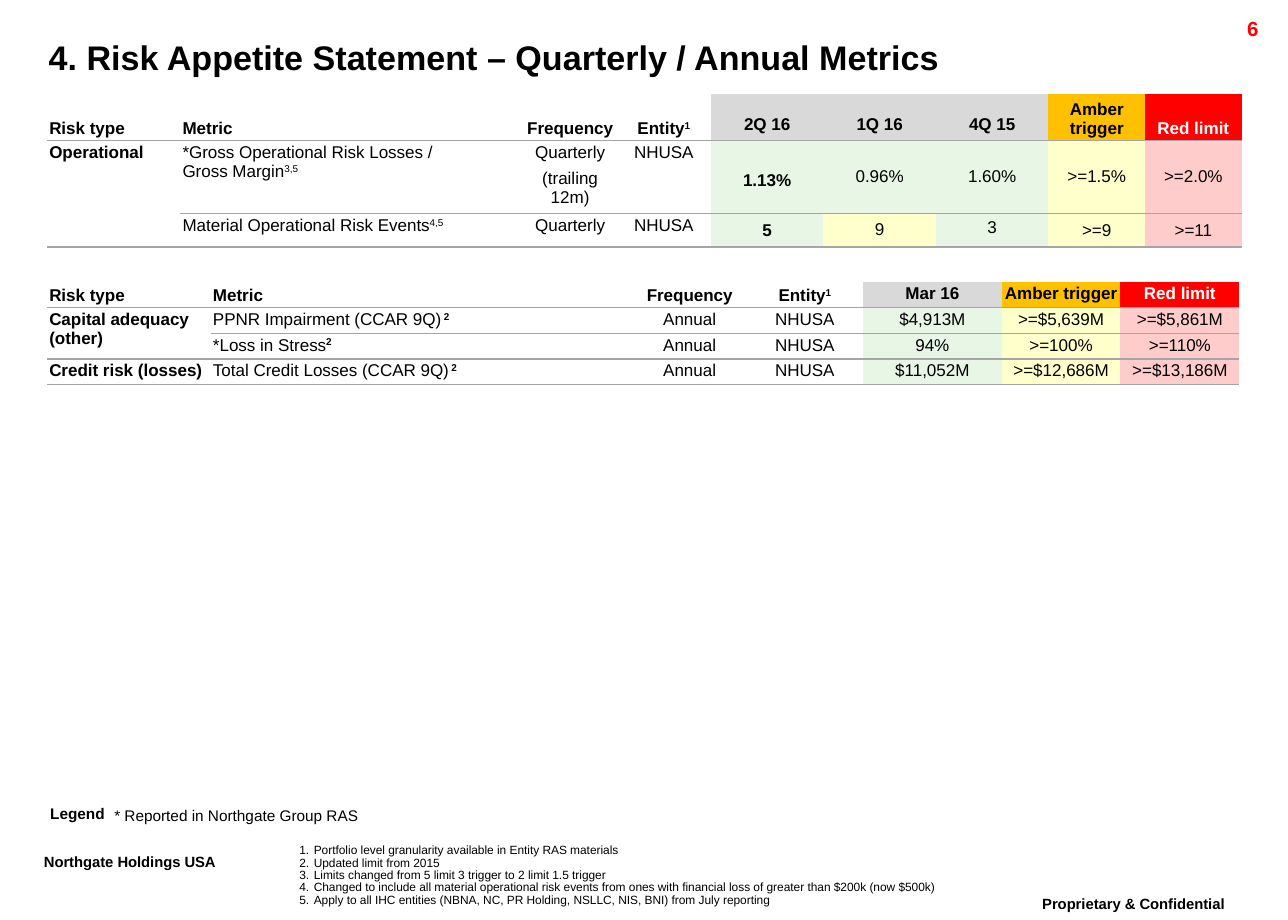
"""Builds the quarterly and annual risk appetite metrics slide."""
import lxml.etree
import pptx
import pptx.dml.color
import pptx.enum.text
import pptx.oxml
import pptx.oxml.ns
import pptx.util

Cm, Pt = pptx.util.Cm, pptx.util.Pt
ALIGN, ANCHOR = pptx.enum.text.PP_ALIGN, pptx.enum.text.MSO_ANCHOR
qn = pptx.oxml.ns.qn

COLORS = {"black": "000000", "white": "FFFFFF", "rule": "A5A5A5", "page": "FF0000",
          "period": "D9D9D9", "amber": "FFC000", "red": "FF0000",
          "green_tint": "E8F6E6", "amber_tint": "FFFFCC", "red_tint": "FFCCCC"}
NO_GRID = "{2D5ABB26-0587-4C30-8999-92F81FD0307C}"


class MetricsSlide:
    """Holds the text style and the current slide."""

    base = {"size": 10, "bold": False, "mark_bold": False, "color": "black",
            "align": ALIGN.LEFT, "spacing": 1.0, "gap": 0, "baseline": 0,
            "numbered": False}

    def __init__(self, deck):
        self.slide = deck.slides.add_slide(deck.slide_layouts[6])

    def rgb(self, name):
        return pptx.dml.color.RGBColor.from_string(COLORS[name])

    def add_piece(self, paragraph, text, style, bold, baseline):
        run = paragraph.add_run()
        run.text = text
        for name, value in {"name": "Arial", "size": Pt(style["size"]), "bold": bold}.items():
            setattr(run.font, name, value)
        run.font.color.rgb = self.rgb(style["color"])
        if baseline:
            run.font._element.set("baseline", str(baseline * 1000))

    def fill_frame(self, frame, text, style):
        style = {**self.base, **style}
        layout = {"alignment": style["align"], "line_spacing": style["spacing"],
                  "space_before": Pt(style["gap"]), "space_after": Pt(style["gap"])}
        for index, line in enumerate(text.split("\n")):
            paragraph = frame.add_paragraph() if index else frame.paragraphs[0]
            for name, value in layout.items():
                setattr(paragraph, name, value)
            if style["numbered"]:
                properties = paragraph._p.get_or_add_pPr()
                properties.set("marL", str(Cm(0.3)))
                properties.set("indent", str(-Cm(0.3)))
                lxml.etree.SubElement(properties, qn("a:buAutoNum"), type="arabicPeriod")
            body, _, mark = line.partition("^")
            for part, piece in enumerate(body.split("\v")):
                if part:
                    paragraph.add_line_break()
                self.add_piece(paragraph, piece, style, style["bold"], style["baseline"])
            if mark:
                self.add_piece(paragraph, mark, style, style["bold"] or style["mark_bold"], 30)

    def text(self, left, top, width, height, text, inset=(0.25, 0.13), **style):
        box = self.slide.shapes.add_textbox(Cm(left), Cm(top), Cm(width), Cm(height))
        across, down = map(Cm, inset)
        frame_format = {"word_wrap": True, "margin_left": across, "margin_right": across,
                        "margin_top": down, "margin_bottom": down}
        for name, value in frame_format.items():
            setattr(box.text_frame, name, value)
        self.fill_frame(box.text_frame, text, {"spacing": 0.86, **style})

    def rule_below(self, cell):
        properties = cell._tc.get_or_add_tcPr()
        line = pptx.oxml.parse_xml(
            '<a:lnB xmlns:a="http://schemas.openxmlformats.org/drawingml/2006/main" '
            f'w="12700"><a:solidFill><a:srgbClr val="{COLORS["rule"]}"/></a:solidFill></a:lnB>')
        properties.insert(0, line)

    def fill_cell(self, cell, text, style):
        inset = Cm(style.get("inset", 0.05))
        cell_format = {"margin_left": inset, "margin_right": inset, "margin_top": inset,
                       "margin_bottom": inset,
                       "vertical_anchor": style.get("anchor", ANCHOR.TOP)}
        for name, value in cell_format.items():
            setattr(cell, name, value)
        if style.get("fill"):
            cell.fill.solid()
            cell.fill.fore_color.rgb = self.rgb(style["fill"])
        else:
            cell.fill.background()
        self.fill_frame(cell.text_frame, text, style)
        self.rule_below(cell)

    def table(self, left, top, widths, heights, rows, heads, bodies, special):
        frame = self.slide.shapes.add_table(
            len(rows), len(widths), Cm(left), Cm(top), Cm(sum(widths)), Cm(sum(heights)))
        table = frame.table
        table.first_row = table.horz_banding = False
        table._tbl.tblPr.find(qn("a:tableStyleId")).text = NO_GRID
        for column, width in zip(table.columns, widths):
            column.width = Cm(width)
        for row, height in zip(table.rows, heights):
            row.height = Cm(height)
        for r, texts in enumerate(rows):
            for c, text in enumerate(texts):
                cell = table.cell(r, c)
                if text is None:
                    self.rule_below(cell)
                    table.cell(r - 1, c).merge(cell)
                    continue
                style = (bodies if r else heads)[c]
                self.fill_cell(cell, text, {"gap": 2, **style, **special.get((r, c), {})})


CENTER, MIDDLE = {"align": ALIGN.CENTER}, {"anchor": ANCHOR.MIDDLE}
LABEL = {"bold": True}
HEAD = {"bold": True, "anchor": ANCHOR.BOTTOM}
HEAD_MID = {**HEAD, **CENTER}
LIMIT_HEADS = [{**HEAD_MID, "fill": "amber"}, {**HEAD_MID, "fill": "red", "color": "white"}]
TEXT_HEADS = [HEAD, HEAD, HEAD_MID, HEAD_MID]
TEXT_BODIES = [LABEL, {"mark_bold": True}, CENTER, CENTER]
GREEN, AMBER, RED = ({**CENTER, "fill": tint} for tint in ("green_tint", "amber_tint", "red_tint"))
LOOSE = {"inset": 0.13, "gap": 0}
PERIOD = {**HEAD_MID, "fill": "period"}

deck = pptx.Presentation()
deck.slide_width, deck.slide_height = Cm(26.67), Cm(19.05)
metrics = MetricsSlide(deck)

metrics.text(20.7, 18.42, 5.54, 0.89, "Proprietary & Confidential",
             size=15, bold=True, baseline=30, align=ALIGN.CENTER)
metrics.text(0.66, 17.55, 5.2, 0.89, "Northgate Holdings USA", size=15, bold=True, baseline=30)
metrics.text(23.77, 0.28, 2.54, 0.61, "6", size=12, bold=True, color="page", align=ALIGN.RIGHT)
metrics.text(0.76, 0.74, 24.94, 0.99, "4. Risk Appetite Statement – Quarterly / Annual Metrics",
             size=20, bold=True)

metrics.table(
    0.97, 1.95, [2.76, 7.11, 1.93, 1.95] + [2.33] * 3 + [2.0] * 2, [0.96, 1.5, 0.69],
    [["Risk type", "Metric", "Frequency", "Entity^1", "2Q 16", "1Q 16", "4Q 15",
      "Amber trigger", "Red limit"],
     ["Operational", "*Gross Operational Risk Losses /\vGross Margin^3,5",
      "Quarterly\n(trailing 12m)", "NHUSA", "1.13%", "0.96%", "1.60%", ">=1.5%", ">=2.0%"],
     [None, "Material Operational Risk Events^4,5", "Quarterly", "NHUSA", "5", "9", "3",
      ">=9", ">=11"]],
    TEXT_HEADS + [{**PERIOD, **LOOSE, "spacing": 0.86}] * 3 + LIMIT_HEADS,
    [LABEL, {}, CENTER, CENTER, {**GREEN, **LABEL}, {**GREEN, **LOOSE, **MIDDLE},
     {**GREEN, **LOOSE, **MIDDLE, "spacing": 0.86}, {**AMBER, **MIDDLE}, {**RED, **MIDDLE}],
    {(1, 4): {"spacing": 2.5}, (2, 4): MIDDLE,
     (2, 5): {"fill": "amber_tint", "anchor": ANCHOR.TOP}, (2, 6): {"anchor": ANCHOR.TOP}})

metrics.table(
    0.97, 5.84, [3.39, 8.74, 2.36, 2.41, 2.87, 2.46, 2.46], [0.53] * 4,
    [["Risk type", "Metric", "Frequency", "Entity^1", "Mar 16", "Amber trigger", "Red limit"],
     ["Capital adequacy (other)", "PPNR Impairment (CCAR 9Q)^ 2", "Annual", "NHUSA",
      "$4,913M", ">=$5,639M", ">=$5,861M"],
     [None, "*Loss in Stress^2", "Annual", "NHUSA", "94%", ">=100%", ">=110%"],
     ["Credit risk (losses)", "Total Credit Losses (CCAR 9Q)^ 2", "Annual", "NHUSA",
      "$11,052M", ">=$12,686M", ">=$13,186M"]],
    TEXT_HEADS + [PERIOD] + LIMIT_HEADS,
    TEXT_BODIES + [GREEN, AMBER, RED],
    {(0, c): {"anchor": ANCHOR.TOP} for c in (4, 5, 6)})

metrics.text(6.2, 17.5, 14.73, 1.4, "\n".join([
    "Portfolio level granularity available in Entity RAS materials",
    "Updated limit from 2015",
    "Limits changed from 5 limit 3 trigger to 2 limit 1.5 trigger",
    "Changed to include all material operational risk events from ones with financial loss "
    "of greater than $200k (now $500k)",
    "Apply to all IHC entities (NBNA, NC, PR Holding, NSLLC, NIS, BNI) from July reporting",
]), inset=(0, 0), size=7, numbered=True)
metrics.text(2.31, 16.74, 5.16, 0.33, "* Reported in Northgate Group RAS",
             inset=(0, 0), size=9, align=ALIGN.CENTER)
metrics.text(1.04, 16.71, 1.65, 0.33, "Legend", inset=(0, 0), size=9, bold=True)

deck.save("out.pptx")
